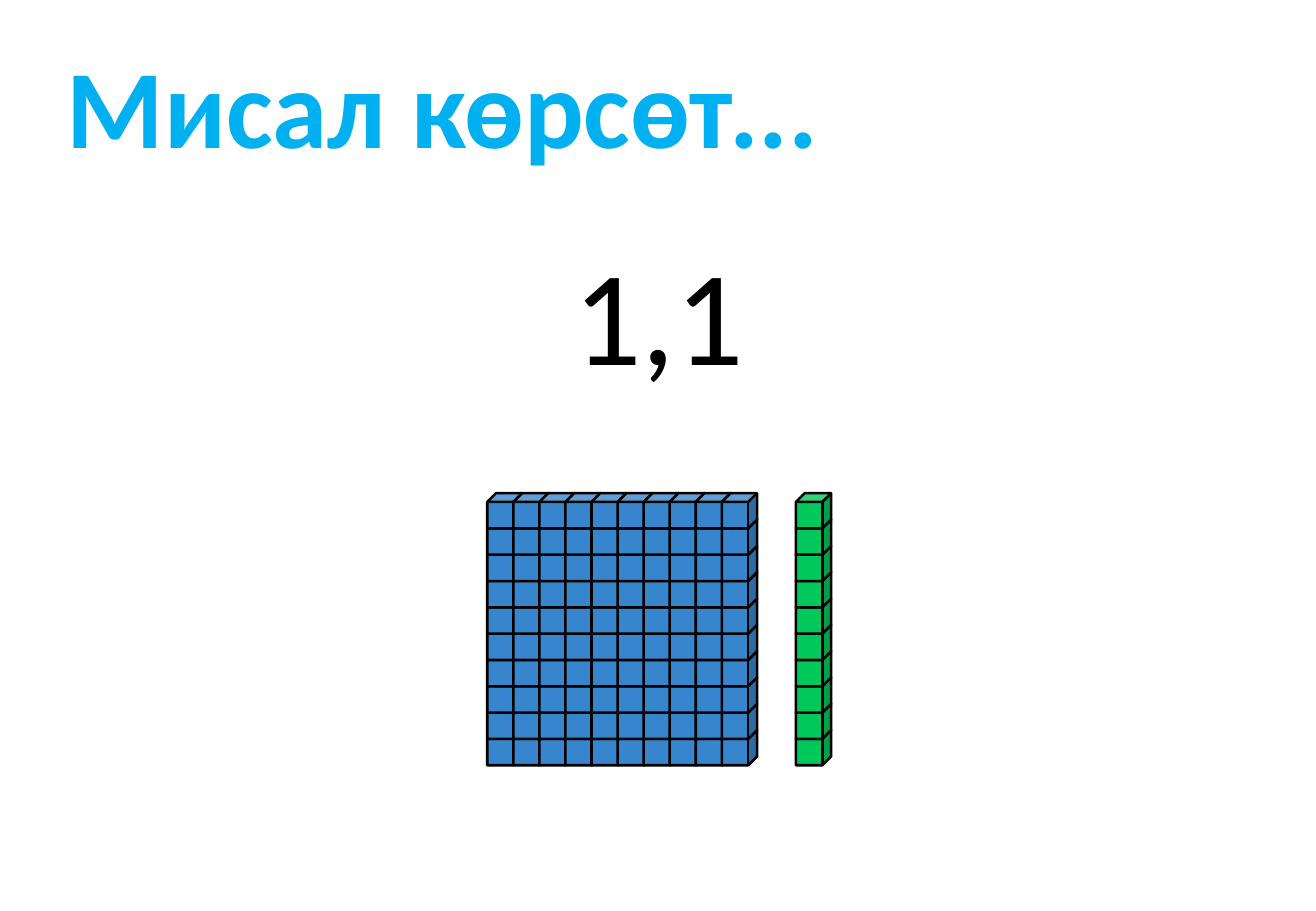
from pptx import Presentation
from pptx.dml.color import RGBColor
from pptx.enum.shapes import MSO_SHAPE
from pptx.enum.text import MSO_ANCHOR, MSO_AUTO_SIZE, PP_ALIGN
from pptx.util import Inches, Pt

SKY = RGBColor(0x00, 0xB0, 0xF0)
BLUE = RGBColor(0x37, 0x86, 0xCD)
GREEN = RGBColor(0x00, 0xC8, 0x5A)
BLACK = RGBColor(0x00, 0x00, 0x00)

ROWS = 10
CUBE = 0.29
BOTTOM = 6.01
ROW_STEP = 1.95 / 9
COLUMN_STEP = 1.93 / 9


def write(box, text, size, color, bold, align):
    frame = box.text_frame
    frame.auto_size = MSO_AUTO_SIZE.NONE
    frame.vertical_anchor = MSO_ANCHOR.TOP
    paragraph = frame.paragraphs[0]
    paragraph.alignment = align
    run = paragraph.add_run()
    run.text = text
    run.font.name = "Calibri"
    run.font.size = Pt(size)
    run.font.bold = bold
    run.font.color.rgb = color


prs = Presentation()
prs.slide_width = Inches(10.83)
prs.slide_height = Inches(7.5)
slide = prs.slides.add_slide(prs.slide_layouts[5])

title = slide.shapes.title
title.left, title.top = Inches(0.24), Inches(0.26)
title.width, title.height = Inches(7.54), Inches(1.21)
title.text_frame.margin_left = Inches(0.31)
write(title, "Мисал көрсөт...", 66, SKY, True, PP_ALIGN.LEFT)

decimal = slide.shapes.add_textbox(
    Inches(4.61), Inches(1.85), Inches(1.62), Inches(1.45))
decimal.text_frame.word_wrap = False
write(decimal, "1,1", 80, BLACK, False, PP_ALIGN.CENTER)

# One whole is ten columns of cubes, one tenth is a single column
for left, columns, color in [(4.01, 10, BLUE), (6.55, 1, GREEN)]:
    block = slide.shapes.add_group_shape()
    for column in range(columns):
        for row in range(ROWS):
            cube = block.shapes.add_shape(
                MSO_SHAPE.CUBE,
                Inches(left + column * COLUMN_STEP),
                Inches(BOTTOM - row * ROW_STEP),
                Inches(CUBE), Inches(CUBE))
            cube.shadow.inherit = False
            cube.fill.solid()
            cube.fill.fore_color.rgb = color
            cube.line.color.rgb = BLACK
            cube.line.width = Pt(1.5)

prs.save("out.pptx")
